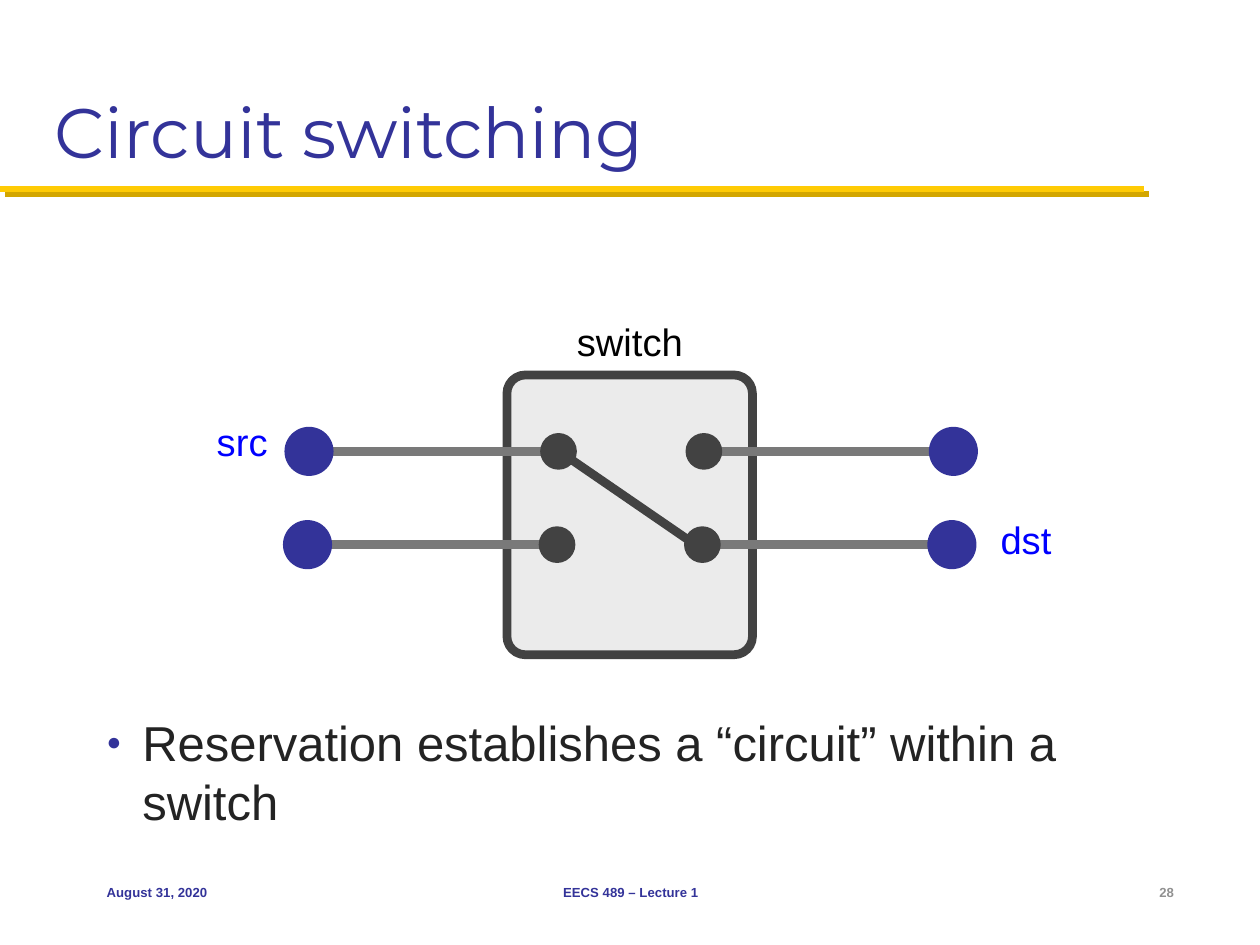
"""Build a slide that explains circuit switching."""
from lxml import etree
from pptx import Presentation
from pptx.dml.color import RGBColor
from pptx.enum import shapes, text
from pptx.oxml import ns
from pptx.util import Cm, Pt

NAVY, BLUE, DARK, GREY = "333399", "0000FF", "424242", "797979"
HOST_X, PORT_X = (6.23, 19.22), (11.26, 14.19)
ROWS = ((0, 9.1), (-0.03, 10.98))


def color(value):
    """Turn a hex string into a colour."""
    return RGBColor.from_string(value)


def child(parent, tag, **attributes):
    """Append a DrawingML element."""
    return etree.SubElement(parent, ns.qn("a:" + tag), attributes)


def write(frame, content, size, ink, font="Arial", bold=False, align="LEFT",
          anchor="MIDDLE", wrap=False, inset=(0.25, 0.13), bullet=None):
    """Put one formatted paragraph in a text frame."""
    frame.word_wrap = wrap
    frame.auto_size = text.MSO_AUTO_SIZE.NONE
    frame.vertical_anchor = getattr(text.MSO_ANCHOR, anchor)
    frame.margin_left = frame.margin_right = Cm(inset[0])
    frame.margin_top = frame.margin_bottom = Cm(inset[1])
    paragraph = frame.paragraphs[0]
    paragraph.alignment = getattr(text.PP_ALIGN, align)
    if bullet:
        properties = paragraph._p.get_or_add_pPr()
        properties.set("marL", str(Cm(0.72)))
        properties.set("indent", str(Cm(-0.72)))
        child(child(properties, "buClr"), "srgbClr", val=NAVY)
        child(properties, "buSzPct", val="50000")
        child(properties, "buFont", typeface="Arial")
        child(properties, "buChar", char=bullet)
    run = paragraph.add_run()
    run.text = content
    run.font.size, run.font.name, run.font.bold = Pt(size), font, bold
    run.font.color.rgb = color(ink)


def add_label(slide, box, content, size, ink, **style):
    """Add a text box."""
    label = slide.shapes.add_textbox(*map(Cm, box))
    write(label.text_frame, content, size, ink, **style)


def add_line(slide, start, end, ink, width, shadow=None):
    """Add a straight line, with an offset shadow if a colour is given."""
    line = slide.shapes.add_connector(
        shapes.MSO_CONNECTOR.STRAIGHT, *map(Cm, (*start, *end)))
    line.line.color.rgb = color(ink)
    line.line.width = Pt(width)
    effects = child(line._element.spPr, "effectLst")
    if shadow:
        outer = child(effects, "outerShdw", dist=str(Pt(4.2)), dir="2700000",
                      algn="ctr", rotWithShape="0")
        child(outer, "srgbClr", val=shadow)


def add_solid(slide, kind, box, fill, outline=None):
    """Add a filled preset shape."""
    solid = slide.shapes.add_shape(kind, *map(Cm, box))
    solid.shadow.inherit = False
    solid.fill.solid()
    solid.fill.fore_color.rgb = color(fill)
    if outline:
        solid.line.color.rgb = color(outline)
        solid.line.width = Pt(5)
    else:
        solid.line.fill.background()
    return solid


def add_node(slide, x, y, diameter, fill):
    """Add a round node around its centre."""
    corner = x - diameter / 2, y - diameter / 2
    add_solid(slide, shapes.MSO_SHAPE.OVAL, (*corner, diameter, diameter), fill)


def add_switch(slide):
    """Draw the switch, its circuit, ports, wires and hosts."""
    switch = add_solid(slide, shapes.MSO_SHAPE.ROUNDED_RECTANGLE,
                       (10.22, 7.56, 4.95, 5.64), "EBEBEB", DARK)
    switch.adjustments[0] = 0.075
    add_line(slide, (11.38, 9.17), (14.19, 11.1), DARK, 5)
    for shift, y in ROWS:
        for host, port in zip(HOST_X, PORT_X):
            add_line(slide, (host + shift, y), (port + shift, y), GREY, 5)
            add_node(slide, host + shift, y, 0.99, NAVY)
            add_node(slide, port + shift, y, 0.74, DARK)
    for name, x, y, width, ink in (("switch", 11.53, 6.3, 2.36, "000000"),
                                   ("src", 4.27, 8.33, 1.24, BLUE),
                                   ("dst", 20.07, 10.31, 1.24, BLUE)):
        add_label(slide, (x, y, width, 1.14), name, 21.8, ink,
                  inset=(0.1, 0.1))


def add_footer(slide):
    """Add the date, the lecture and the slide number."""
    for content, x, width, align, ink in (
            ("August 31, 2020", 1.9, 5.28, "LEFT", NAVY),
            ("EECS 489 – Lecture 1", 8.69, 8.05, "CENTER", NAVY),
            ("28", 22.22, 1.7, "RIGHT", "919191")):
        add_label(slide, (x, 17.35, width, 1.27), content, 7.5, ink,
                  bold=True, align=align)


def main():
    """Assemble and save the slide."""
    deck = Presentation()
    deck.slide_width, deck.slide_height = Cm(25.4), Cm(19.05)
    slide = deck.slides.add_slide(deck.slide_layouts[5])
    title = slide.shapes.title
    title.left, title.top = Cm(0.85), Cm(0.42)
    title.width, title.height = Cm(23.7), Cm(3.18)
    write(title.text_frame, "Circuit switching", 40, NAVY, font="Montserrat",
          anchor="BOTTOM", wrap=True)
    add_line(slide, (0, 3.81), (23.06, 3.81), "FFCB05", 3.5, shadow="D3A600")
    add_switch(slide)
    add_label(slide, (1.9, 14.24, 22.02, 2.6),
              "Reservation establishes a “circuit” within a switch", 28,
              "232323", anchor="TOP", wrap=True, bullet="●")
    add_footer(slide)
    deck.save("out.pptx")


if __name__ == "__main__":
    main()
